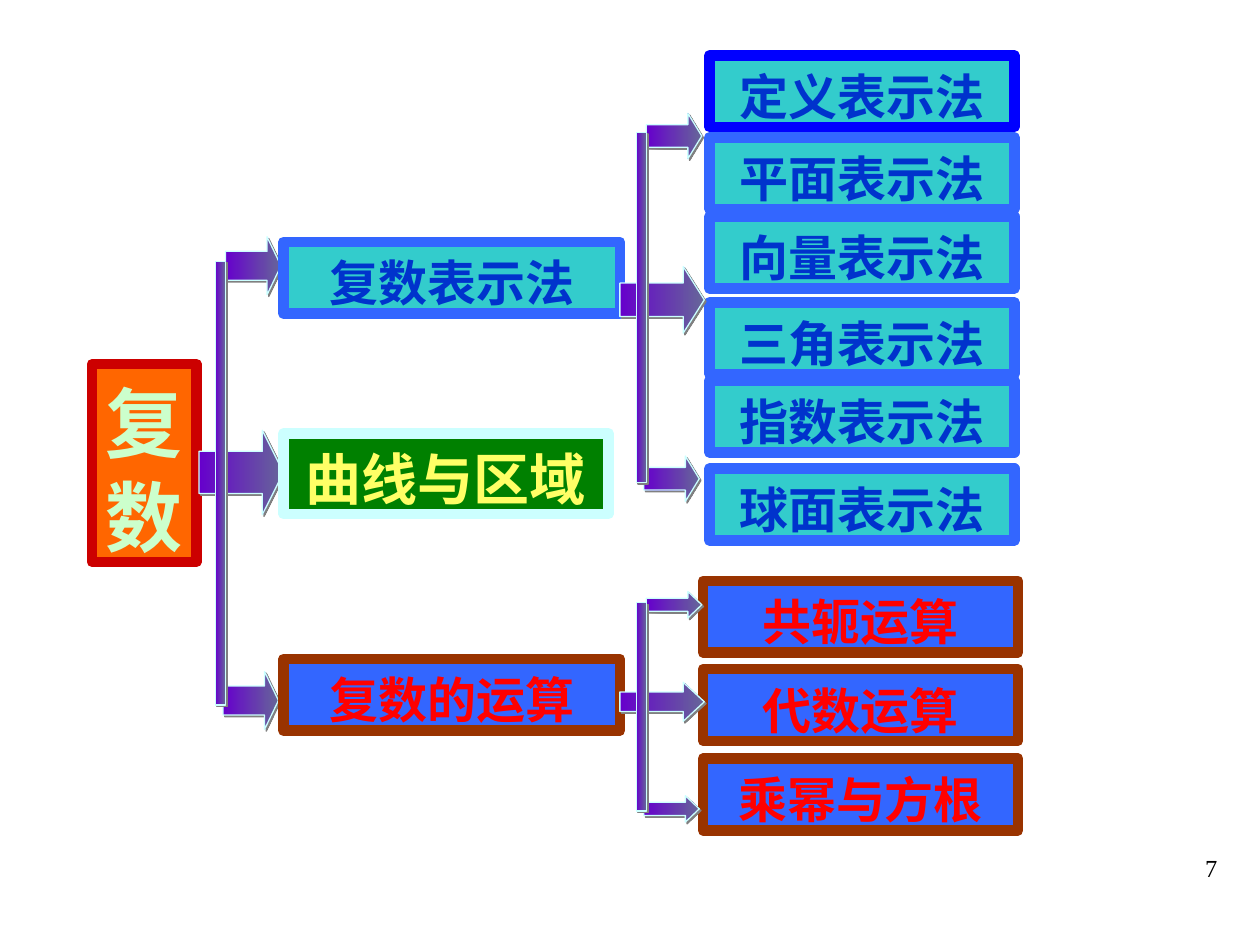
from dataclasses import dataclass

from lxml import etree
from pptx import Presentation
from pptx.dml.color import RGBColor
from pptx.enum.shapes import MSO_SHAPE
from pptx.enum.text import MSO_ANCHOR, MSO_AUTO_SIZE, PP_ALIGN
from pptx.oxml.ns import qn
from pptx.util import Emu, Inches, Pt

RECTANGLE = MSO_SHAPE.RECTANGLE
ARROW = MSO_SHAPE.RIGHT_ARROW
CENTER, RIGHT = PP_ALIGN.CENTER, PP_ALIGN.RIGHT
TOP, NO_AUTOFIT = MSO_ANCHOR.TOP, MSO_AUTO_SIZE.NONE


@dataclass(frozen=True)
class Style:
    fill: str
    frame: str
    text: str
    size: int = 28
    font: str = "Times New Roman"


@dataclass(frozen=True)
class Theme:
    latin: str = "Times New Roman"
    east_asian: str = "Noto Sans CJK SC"
    black: str = "000000"
    number_size: int = 14
    frame_width: float = 6
    line_spacing: float = 1.22
    arrow_start: str = "6600CC"
    arrow_end: str = "666699"
    arrow_line: str = "CCFFFF"
    arrow_line_width: float = 0.75
    shadow: str = "808080"
    root: Style = Style("FF6600", "CC0000", "CCFFCC", 44, "Noto Sans CJK SC")
    curve: Style = Style("008000", "CCFFFF", "FFFF66", 32)
    form: Style = Style("33CCCC", "3366FF", "0033CC")
    first_form: Style = Style("33CCCC", "0000FF", "0033CC")
    operation: Style = Style("3366FF", "993300", "FF0000")


THEME = Theme()

# The slide is a grid of 10 columns by 7.5 rows of square cells
SLIDE_WIDTH, SLIDE_HEIGHT = Inches(10), Inches(7.5)
CELL = SLIDE_WIDTH / 10
BOX_HEIGHT = 0.57
BRANCH_LEFT, BRANCH_WIDTH = 2.25, 2.67
FORM_LEFT, FORM_WIDTH = 5.63, 2.42
OPERATION_LEFT, OPERATION_WIDTH = 5.58, 2.5

# Top row of each leaf box
FORMS = {
    "球面表示法": 3.72,
    "指数表示法": 3.02,
    "三角表示法": 2.4,
    "向量表示法": 1.72,
    "平面表示法": 1.09,
}
OPERATIONS = {"共轭运算": 4.61, "代数运算": 5.31, "乘幂与方根": 6.02}


def cells(*counts):
    return [Emu(round(count * CELL)) for count in counts]


def color(value):
    return RGBColor.from_string(value)


def write_text(shape, text, *, size, ink, font=THEME.latin, bold=False,
               align=CENTER, spacing=None, top=0.05, bottom=0.05):
    frame = shape.text_frame
    frame.word_wrap = True
    frame.auto_size = NO_AUTOFIT
    frame.vertical_anchor = TOP
    frame.margin_top, frame.margin_bottom = cells(top, bottom)
    para = frame.paragraphs[0]
    para.alignment = align
    if spacing:
        para.line_spacing = Pt(round(size * spacing, 2))
    span = para.add_run()
    span.text = text
    span.font.name = font
    span.font.size = Pt(size)
    span.font.bold = bold
    span.font.color.rgb = color(ink)
    east_asian = etree.SubElement(span.font._element, qn("a:ea"))
    east_asian.set("typeface", THEME.east_asian)


def add_box(page, text, style, left, top, width, height=BOX_HEIGHT):
    box = page.shapes.add_shape(RECTANGLE, *cells(left, top, width, height))
    box.shadow.inherit = False
    box.fill.solid()
    box.fill.fore_color.rgb = color(style.fill)
    box.line.color.rgb = color(style.frame)
    box.line.width = Pt(THEME.frame_width)
    write_text(box, text, size=style.size, ink=style.text, font=style.font,
               bold=True, spacing=THEME.line_spacing, top=0.08, bottom=0.01)


def add_shadow(shape):
    shape.shadow.inherit = False
    effects = shape._element.spPr.find(qn("a:effectLst"))
    shadow = etree.SubElement(effects, qn("a:outerShdw"), dist=str(Pt(1.4)),
                              dir="2700000", algn="ctr", rotWithShape="0")
    etree.SubElement(shadow, qn("a:srgbClr"), val=THEME.shadow)


def add_gradient_shape(group, kind, left, top, width, height):
    shape = group.shapes.add_shape(kind, *cells(left, top, width, height))
    shape.fill.gradient()
    shape.fill.gradient_angle = 0
    stops = shape.fill.gradient_stops
    for stop, place, tint in zip(stops, (0, 1), (THEME.arrow_start, THEME.arrow_end)):
        stop.position = place
        stop.color.rgb = color(tint)
    shape.line.color.rgb = color(THEME.arrow_line)
    shape.line.width = Pt(THEME.arrow_line_width)
    add_shadow(shape)
    return shape


def add_arrow(group, left, middle, width, height):
    arrow = add_gradient_shape(group, ARROW, left, middle - height / 2, width, height)
    # The head takes a quarter of the arrow's length
    arrow.adjustments[0] = 0.5
    arrow.adjustments[1] = width / 4 / min(width, height)


def add_bracket(page, left, middles, side_height, main_height):
    """Three arrows that leave one upright bar."""
    upper, center, lower = middles
    group = page.shapes.add_group_shape()
    add_arrow(group, left + 0.06, lower, 0.44, side_height)
    add_arrow(group, left + 0.08, upper, 0.44, side_height)
    add_arrow(group, left - 0.13, center, 0.67, main_height)
    overhang = 0.08 * side_height
    add_gradient_shape(group, RECTANGLE, left, upper - overhang,
                       0.08, lower - upper + 2 * overhang)


def add_page_number(page, number):
    box = page.shapes.add_textbox(*cells(7.68, 6.72, 2.08, 0.5))
    write_text(box, number, size=THEME.number_size, ink=THEME.black, align=RIGHT)


def main():
    deck = Presentation()
    deck.slide_width, deck.slide_height = SLIDE_WIDTH, SLIDE_HEIGHT
    page = deck.slides.add_slide(deck.slide_layouts[6])
    add_page_number(page, "7")

    # Root and its three branches
    add_box(page, "复数", THEME.root, 0.73, 2.89, 0.83, 1.57)
    add_bracket(page, 1.71, (2.11, 3.75, 5.56), 0.46, 0.67)
    add_box(page, "复数表示法", THEME.form, BRANCH_LEFT, 1.92, BRANCH_WIDTH)
    add_box(page, "曲线与区域", THEME.curve, BRANCH_LEFT, 3.44, 2.58, 0.64)
    add_box(page, "复数的运算", THEME.operation, BRANCH_LEFT, 5.23, BRANCH_WIDTH)

    # Forms of representation
    for text, top in FORMS.items():
        add_box(page, text, THEME.form, FORM_LEFT, top, FORM_WIDTH)
    add_box(page, "定义表示法", THEME.first_form, FORM_LEFT, 0.44, FORM_WIDTH)
    add_bracket(page, 5.05, (1.08, 2.38, 3.8), 0.36, 0.53)

    # Operations
    for text, top in OPERATIONS.items():
        add_box(page, text, THEME.operation, OPERATION_LEFT, top, OPERATION_WIDTH)
    add_bracket(page, 5.05, (4.8, 5.57, 6.42), 0.21, 0.31)

    deck.save("out.pptx")


if __name__ == "__main__":
    main()
